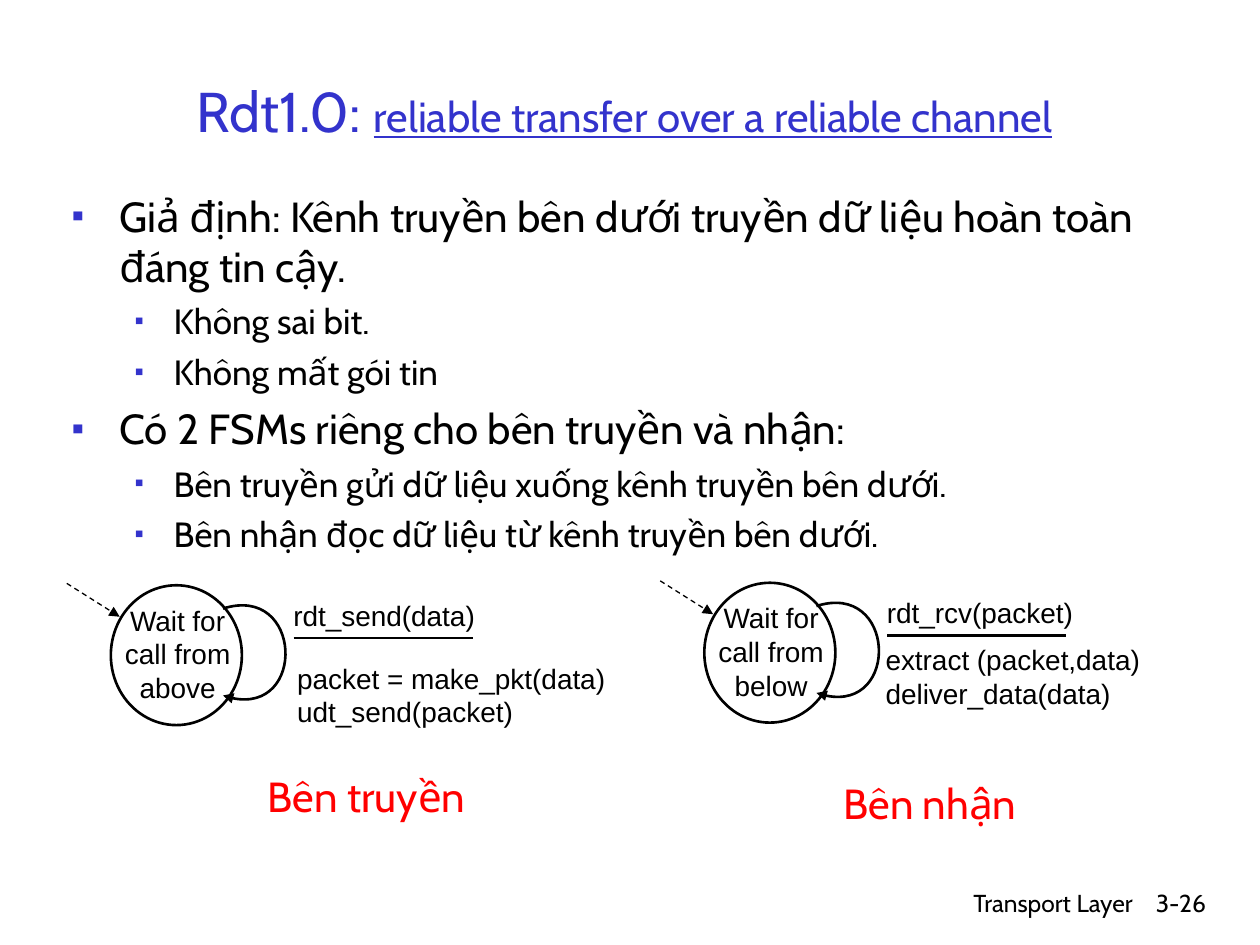
from dataclasses import dataclass
from lxml.etree import SubElement
from pptx import Presentation
from pptx.dml.color import RGBColor as RGB
from pptx.enum.dml import MSO_LINE_DASH_STYLE as Dash
from pptx.enum.shapes import MSO_CONNECTOR as Conn, MSO_SHAPE as Shape
from pptx.enum.text import MSO_ANCHOR as Anchor, PP_ALIGN as Align
from pptx.oxml.ns import qn
from pptx.util import Inches, Pt

COLS, ROWS = 100, 75
WIDTH, HEIGHT = Inches(10), Inches(7.5)


@dataclass(frozen=True)
class Theme:
    ink: str = "000000"
    paper: str = "FFFFFF"
    accent: str = "3333CC"
    role: str = "FF0000"
    sans: str = "Cabin"
    label: str = "Arial"
    title: int = 32
    heading: int = 24
    item: int = 20
    code: int = 16
    footer: int = 14
    stroke: float = 1.5
    thin: float = 0.75


T = Theme()


@dataclass(frozen=True)
class Box:
    x: float
    y: float
    w: float
    h: float

    def inner(self, x, y, w, h):
        return Box(self.x + x, self.y + y, w, h)

    def point(self, x, y):
        return col(self.x + x), row(self.y + y)

    def emu(self):
        return col(self.x), row(self.y), col(self.w), row(self.h)


def col(n):
    return round(WIDTH * n / COLS)


def row(n):
    return round(HEIGHT * n / ROWS)


def add_run(p, words, size, font, color, underline=None):
    r = p.add_run()
    r.text = words
    r.font.size, r.font.name = Pt(size), font
    r.font.underline = underline
    r.font.color.rgb = RGB.from_string(color)


def add_text(s, box, *lines, size=T.code, font=T.label, color=T.ink,
             align=Align.LEFT, anchor=Anchor.TOP):
    tf = s.shapes.add_textbox(*box.emu()).text_frame
    tf.word_wrap, tf.vertical_anchor = True, anchor
    for i, words in enumerate(lines):
        p = tf.add_paragraph() if i else tf.paragraphs[0]
        p.alignment = align
        add_run(p, words, size, font, color)
    return tf


def add_bullet(p, indent, hang, percent):
    pPr = p._p.get_or_add_pPr()
    pPr.set("marL", str(Inches(indent)))
    pPr.set("indent", str(-Inches(hang)))
    SubElement(SubElement(pPr, qn("a:buClr")), qn("a:srgbClr"), val=T.accent)
    SubElement(pPr, qn("a:buSzPct"), val=str(percent * 1000))
    SubElement(pPr, qn("a:buFont"), typeface=T.label)
    SubElement(pPr, qn("a:buChar"), char="▪")


def style_line(sp, width=T.stroke, arrow=False):
    sp.line.width = Pt(width)
    sp.line.color.rgb = RGB.from_string(T.ink)
    if arrow:
        ln = sp.element.spPr.find(qn("a:ln"))
        SubElement(ln, qn("a:tailEnd"), type="triangle")


def add_line(s, start, end, width=T.stroke, dash=None, arrow=False):
    sp = s.shapes.add_connector(Conn.STRAIGHT, *start, *end)
    if dash:
        sp.line.dash_style = dash
    style_line(sp, width, arrow)
    SubElement(sp.element.spPr, qn("a:effectLst"))


def add_curve(s, start, *controls):
    fb = s.shapes.build_freeform(*start)
    fb.add_line_segments(controls, close=False)
    sp = fb.convert_to_shape()
    outline = next(sp.element.iter(qn("a:path")))
    curve = SubElement(outline, qn("a:cubicBezTo"))
    for segment in outline.findall(qn("a:lnTo")):
        curve.append(segment[0])
        outline.remove(segment)
    sp.fill.background()
    sp.shadow.inherit = False
    style_line(sp, arrow=True)


def title(s, box):
    tf = add_text(s, box, "Rdt1.0: ", size=T.title, font=T.sans,
                  color=T.accent, align=Align.CENTER, anchor=Anchor.MIDDLE)
    add_run(tf.paragraphs[0], "reliable transfer over a reliable channel",
            T.heading, T.sans, T.accent, underline=True)


def body(s, box, items):
    tf = s.shapes.add_textbox(*box.emu()).text_frame
    tf.word_wrap = True
    styles = [(T.heading, 6, (0.38, 0.38, 85)), (T.item, 5, (0.81, 0.31, 75))]
    for i, (level, words) in enumerate(items):
        p = tf.add_paragraph() if i else tf.paragraphs[0]
        size, before, bullet = styles[level]
        p.level = level
        p.space_before = Pt(before if i else 0)
        add_bullet(p, *bullet)
        add_run(p, words, size, T.sans, T.ink)


def machine(s, box, state, event, actions, action_at, role, role_at):
    sp = s.shapes.add_shape(Shape.OVAL, *box.inner(3.5, 0.15, 10.4, 11.1).emu())
    sp.fill.solid()
    sp.fill.fore_color.rgb = RGB.from_string(T.paper)
    sp.shadow.inherit = False
    style_line(sp)
    add_text(s, box.inner(2.8, 1.1, 12, 10), state, align=Align.CENTER)
    add_curve(s, *(box.point(*xy) for xy in
                   [(12.4, 2), (18.7, 0), (19.1, 11.2), (12.4, 8.9)]))
    add_line(s, box.point(0, 0), box.point(4.2, 2.65),
             width=T.thin, dash=Dash.DASH, arrow=True)
    add_text(s, box.inner(17, 0.7, 24.7, 4.7), event)
    add_line(s, box.point(18, 4.35), box.point(32.2, 4.35))
    add_text(s, box.inner(*action_at, 28, 6.5), *actions)
    add_text(s, box.inner(*role_at, 19.2, 5), role, size=T.heading,
             font=T.sans, color=T.role, align=Align.CENTER)


def footer(s, box):
    style = dict(size=T.footer, font=T.sans, align=Align.RIGHT)
    add_text(s, box.inner(0, 0, 31.7, 5), "Transport Layer", **style)
    add_text(s, box.inner(30.1, 0, 7.4, 5), "3-26", **style)


def main():
    prs = Presentation()
    prs.slide_width, prs.slide_height = WIDTH, HEIGHT
    s = prs.slides.add_slide(prs.slide_layouts[6])
    footer(s, Box(59.2, 70, 37.5, 5))
    title(s, Box(5.8, 2.5, 87.5, 12.5))
    body(s, Box(4.7, 14.6, 86.4, 33), [
        (0, "Giả định: Kênh truyền bên dưới truyền dữ liệu hoàn toàn đáng tin cậy."),
        (1, "Không sai bit."),
        (1, "Không mất gói tin"),
        (0, "Có 2 FSMs riêng cho bên truyền và nhận:"),
        (1, "Bên truyền gửi dữ liệu xuống kênh truyền bên dưới."),
        (1, "Bên nhận đọc dữ liệu từ kênh truyền bên dưới."),
    ])
    machine(s, Box(5.3, 46.3, 47, 20), "Wait for call from above",
            "rdt_send(data)", ["packet = make_pkt(data)", "udt_send(packet)"],
            (17.3, 5.7), "Bên truyền", (14.2, 14.4))
    machine(s, Box(52.4, 46.1, 47, 20), "Wait for call from below",
            "rdt_rcv(packet)", ["extract (packet,data)", "deliver_data(data)"],
            (16.9, 4.4), "Bên nhận", (11.8, 15.1))
    prs.save("out.pptx")


if __name__ == "__main__":
    main()
